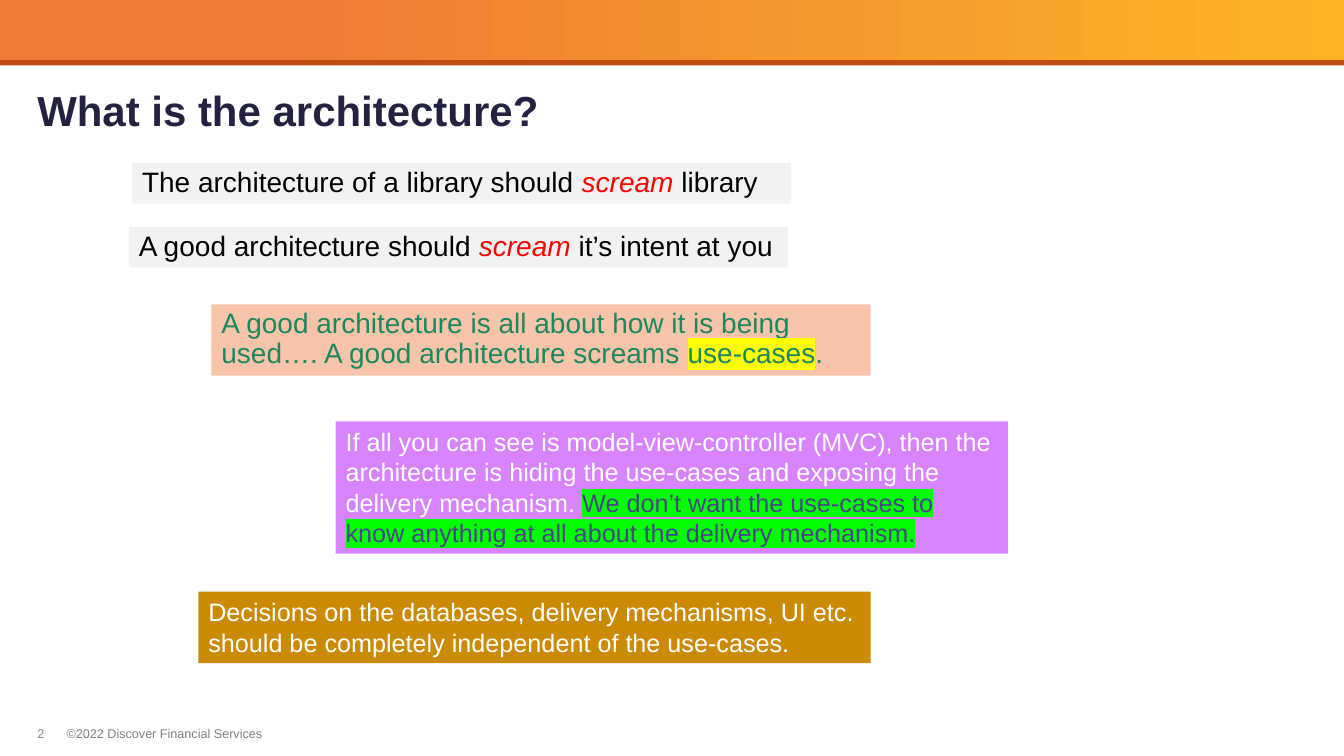
from lxml import etree
from pptx import Presentation
from pptx.dml.color import RGBColor
from pptx.enum.shapes import MSO_SHAPE
from pptx.enum.text import MSO_ANCHOR, MSO_AUTO_SIZE, PP_ALIGN
from pptx.oxml.ns import qn
from pptx.util import Cm, Pt

RECT = MSO_SHAPE.RECTANGLE
TOP, MIDDLE = MSO_ANCHOR.TOP, MSO_ANCHOR.MIDDLE
GROW = MSO_AUTO_SIZE.SHAPE_TO_FIT_TEXT
LEFT = PP_ALIGN.LEFT
WIDTH, HEIGHT = 33.87, 19.05
FONT = "Arial"
COLORS = {
    "rust": "BF4C11", "amber": "FCB424", "orange": "EF7A34",
    "navy": "232241", "gray": "808080", "black": "000000", "white": "FFFFFF",
    "red": "FF0000", "green": "1C8860", "indigo": "474584",
    "pale": "F2F2F2", "peach": "F7C4A9", "violet": "D883FF", "ochre": "CB8A03",
    "yellow": "FFFF00", "lime": "00FF00",
}


class SlideBuilder:
    """Draws styled elements on the current slide."""

    def __init__(self, prs):
        self.s = prs.slides.add_slide(prs.slide_layouts[6])

    def color(self, name):
        return RGBColor.from_string(COLORS[name])

    def rect(self, at, fill):
        sp = self.s.shapes.add_shape(RECT, *map(Cm, at))
        sp.shadow.inherit = False
        sp.line.fill.background()
        sp.fill.solid()
        sp.fill.fore_color.rgb = self.color(fill)
        return sp

    def gradient(self, at, stops, angle):
        sp = self.rect(at, stops[0][1])
        sp.fill.gradient()
        sp.fill.gradient_angle = angle
        for stop, (position, name) in zip(sp.fill.gradient_stops, stops):
            stop.position = position
            stop.color.rgb = self.color(name)

    def add_runs(self, p, runs, size, bold=False):
        p.alignment = LEFT
        for text, name, *marks in runs:
            r = p.add_run()
            r.text = text
            r.font.name, r.font.size, r.font.bold = FONT, Pt(size), bold
            r.font.italic = "italic" in marks
            r.font.color.rgb = self.color(name)
            for mark in marks:
                if mark in COLORS:
                    self.highlight(r, mark)

    def highlight(self, r, name):
        hl = etree.Element(qn("a:highlight"))
        etree.SubElement(hl, qn("a:srgbClr")).set("val", COLORS[name])
        r._r.get_or_add_rPr().find(qn("a:solidFill")).addnext(hl)

    def label(self, at, text, name, size, bold=False, wrap=False, top=0, anchor=TOP):
        tf = self.s.shapes.add_textbox(*map(Cm, at)).text_frame
        tf.margin_left = tf.margin_right = tf.margin_bottom = 0
        tf.margin_top = Cm(top)
        tf.word_wrap = wrap
        tf.vertical_anchor = anchor
        self.add_runs(tf.paragraphs[0], [(text, name)], size, bold)
        return tf

    def quote(self, at, fill, runs, size, spacing=1.0):
        tf = self.rect(at, fill).text_frame
        tf.word_wrap = True
        tf.auto_size = GROW
        tf.vertical_anchor = TOP
        p = tf.paragraphs[0]
        p.line_spacing = spacing
        self.add_runs(p, runs, size)


def main():
    prs = Presentation()
    prs.slide_width, prs.slide_height = Cm(WIDTH), Cm(HEIGHT)
    b = SlideBuilder(prs)

    b.rect((0, 0, WIDTH, 1.65), "rust")
    b.gradient((0, 0, WIDTH, 1.52), [(0, "amber"), (0.8, "orange")], 180)
    b.label((1.68, 18.29, 4.98, 0.38), "©2022 Discover Financial Services", "gray", 9)
    b.label((0.94, 18.29, 0.38, 0.38), "2", "gray", 9)
    title = b.label((0.94, 1.65, 32, 2.16), "What is the architecture?", "navy", 30,
                    bold=True, wrap=True, top=0.25, anchor=MIDDLE)
    title.paragraphs[0].line_spacing = 0.85

    b.quote((3.33, 4.11, 16.61, 1.02), "pale", [
        ("The architecture of a library should ", "black"),
        ("scream", "red", "italic"),
        (" library", "black")], 20, 0.9)
    b.quote((3.25, 5.72, 16.61, 1.02), "pale", [
        ("A good architecture should ", "black"),
        ("scream", "red", "italic"),
        (" it’s intent at you", "black")], 20, 0.9)
    b.quote((5.33, 7.67, 16.61, 1.8), "peach", [
        ("A good architecture is all about how it is being used…. "
         "A good architecture screams ", "green"),
        ("use-cases", "green", "yellow"),
        (".", "green")], 20, 0.9)
    b.quote((8.46, 10.62, 16.94, 3.33), "violet", [
        ("If all you can see is model-view-controller (MVC), then the architecture is "
         "hiding the use-cases and exposing the delivery mechanism. ", "white"),
        ("We don’t want the use-cases to know anything at all about the "
         "delivery mechanism.", "indigo", "lime")], 18)
    b.quote((5, 14.91, 16.94, 1.8), "ochre", [
        ("Decisions on the databases, delivery mechanisms, UI etc. should be "
         "completely independent of the use-cases.", "white")], 18)

    prs.save("out.pptx")


if __name__ == "__main__":
    main()
